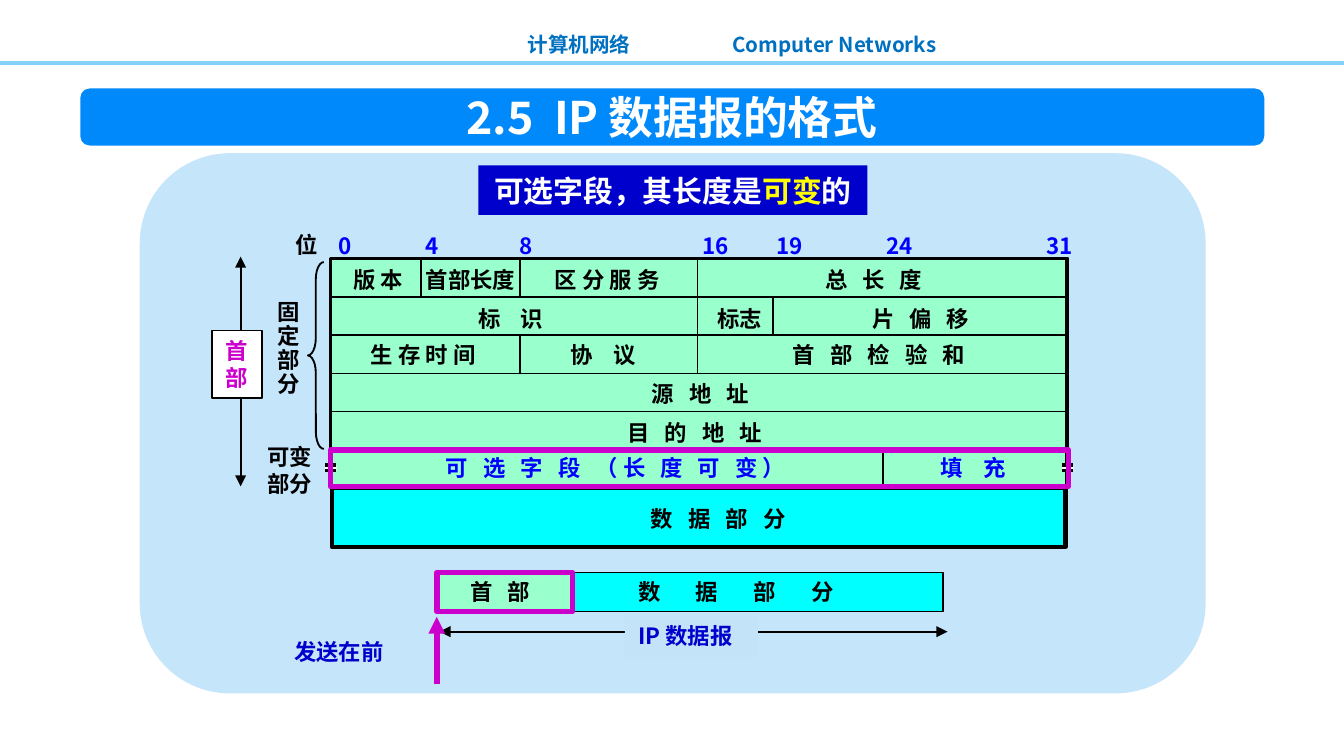
from lxml.etree import SubElement
from pptx import Presentation
from pptx.dml.color import RGBColor
from pptx.enum.shapes import MSO_CONNECTOR, MSO_SHAPE
from pptx.enum.text import MSO_ANCHOR, MSO_AUTO_SIZE, PP_ALIGN
from pptx.oxml.ns import qn
from pptx.util import Pt

FONT = "Noto Sans CJK SC"
COLORS = {
    "black": "000000", "white": "FFFFFF", "yellow": "FFFF00",
    "blue": "0000FF", "navy": "0000CC", "magenta": "CC00CC",
    "header": "0070C0", "rule": "85D1F7", "banner": "0089FA",
    "panel": "C5E5FB", "label": "C3E3F9", "mint": "99FFCC", "cyan": "00FFFF",
}
SPACE = 2.7  # width of one blank at 12 pt

# Header grid
LEFT, RIGHT = 177.1, 572.1
ROW_LINES = [159.2, 179.7, 200.1, 220.5, 241]
DIVIDERS = [(225.4, 139, 159.2), (278.6, 139, 159.2), (278.6, 179.7, 200.1),
            (373.7, 139, 200.1), (473, 241, 261.4), (414, 159.2, 179.7)]
BITS = [("0", 174.2), ("4", 221), ("8", 271.4), ("16", 369.4),
        ("19", 409), ("24", 468), ("31", 553.7)]

# Text, left, top, width, blanks between the characters, colour
FIELDS = [
    ("版 本", 182.2, 139, 42.5, 1, "black"),
    ("首部长度", 221, 139, 62.6, 1, "black"),
    ("区 分 服 务", 290.2, 139, 74.2, 1, "black"),
    ("总 长 度", 434.9, 139, 72.7, 3, "black"),
    ("标 识", 249.1, 159.8, 53.3, 4, "black"),
    ("标志", 377.3, 159.8, 38.9, 1, "black"),
    ("片 偏 移", 460.1, 159.8, 72.7, 3, "black"),
    ("生 存 时 间", 191.5, 179.3, 74.2, 1, "black"),
    ("协 议", 298.8, 179.3, 53.3, 4, "black"),
    ("首 部 检 验 和", 417.6, 179.3, 118.8, 3, "black"),
    ("源 地 址", 342, 200.2, 72.7, 3, "black"),
    ("目 的 地 址", 329, 221, 95.8, 3, "black"),
    ("可 选 字 段 （长 度 可 变）", 231.8, 239.8, 208.8, 3, "blue"),
    ("填 充", 496.8, 239.8, 53.3, 4, "blue"),
    ("位", 151.2, 120.2, 26.6, 1, "black"),
]


def rgb(name):
    return RGBColor.from_string(COLORS[name])


def add_box(page, left, top, width, height, fill=None, line=None, weight=1,
            kind=MSO_SHAPE.RECTANGLE):
    box = page.shapes.add_shape(kind, Pt(left), Pt(top), Pt(width), Pt(height))
    box.shadow.inherit = False
    if fill:
        box.fill.solid()
        box.fill.fore_color.rgb = rgb(fill)
    else:
        box.fill.background()
    if line:
        box.line.color.rgb = rgb(line)
        box.line.width = Pt(weight)
    else:
        box.line.fill.background()
    return box


def add_line(page, x1, y1, x2, y2, color="black", weight=1, ends=()):
    line = page.shapes.add_connector(MSO_CONNECTOR.STRAIGHT,
                                     Pt(x1), Pt(y1), Pt(x2), Pt(y2))
    line.line.color.rgb = rgb(color)
    line.line.width = Pt(weight)
    outline = line.line._get_or_add_ln()
    for end in ends:
        SubElement(outline, qn("a:" + end), type="triangle")
    SubElement(line._element.spPr, qn("a:effectLst"))


def format_span(span, size, color, spacing=0):
    span.font.size = Pt(size)
    span.font.bold = True
    span.font.name = FONT
    span.font.color.rgb = rgb(color)
    properties = span.font._element
    SubElement(properties, qn("a:ea"), typeface=FONT)
    if spacing:
        properties.set("spc", str(round(spacing * 100)))


def write(box, lines, size=12, color="black", align=PP_ALIGN.LEFT, blanks=1,
          wrap=False, leading=None, anchor=MSO_ANCHOR.TOP):
    """Each line is a string or a list of (text, colour, spacing) spans."""
    frame = box.text_frame
    frame.word_wrap = wrap
    frame.auto_size = MSO_AUTO_SIZE.SHAPE_TO_FIT_TEXT
    frame.vertical_anchor = anchor
    spread = (blanks - 1) * SPACE / 2  # shared by a character and its blank
    for index, line in enumerate(lines):
        para = frame.add_paragraph() if index else frame.paragraphs[0]
        para.alignment = align
        if leading:
            para.line_spacing = leading
        spans = [(line, color, spread)] if isinstance(line, str) else line
        for text, tint, spacing in spans:
            span = para.add_run()
            span.text = text
            format_span(span, size, tint, spacing)


def add_text(page, lines, left, top, width, height=21.6, **style):
    box = page.shapes.add_textbox(Pt(left), Pt(top), Pt(width), Pt(height))
    write(box, lines, **style)


def add_heading(page):
    add_text(page, ["计算机网络"], 266.4, 13.7, 78.5, 20.9, size=11,
             color="header", align=PP_ALIGN.RIGHT, wrap=True)
    add_line(page, 0, 33.8, 720, 33.8, "rule", 2)
    add_text(page, ["Computer Networks"], 381.6, 13.7, 127.4, 20.9, size=11,
             color="header", align=PP_ALIGN.RIGHT)
    add_box(page, 43, 47.4, 634.3, 30.6, "banner",
            kind=MSO_SHAPE.ROUNDED_RECTANGLE)
    title = [("2.5", "white", 0), (" ", "white", 2 * SPACE),
             ("IP 数据报的格式", "white", 0)]
    add_text(page, [title], 239, 44.6, 242, 36, size=24,
             align=PP_ALIGN.CENTER)
    add_box(page, 74.9, 82.1, 571, 289.4, "panel",
            kind=MSO_SHAPE.ROUNDED_RECTANGLE)
    note = add_box(page, 256.3, 88.6, 208.4, 26.6, "navy")
    write(note, [[("可选字段，其长度是", "white", 0), ("可变", "yellow", 0),
                  ("的", "white", 0)]],
          size=16, align=PP_ALIGN.CENTER, anchor=MSO_ANCHOR.MIDDLE)


def add_grid(page):
    add_box(page, LEFT, 138.5, 394.6, 122.4, "mint", "black", 2)
    add_box(page, 177.8, 261.4, 393.1, 31.7, "cyan", "black", 2.25)
    for y in ROW_LINES:
        add_line(page, LEFT, y, RIGHT, y)
    for x, top, bottom in DIVIDERS:
        add_line(page, x, top, x, bottom)
    for bit, left in BITS:
        add_text(page, [bit], left, 121, 14.4 + 7.6 * len(bit), color="blue")
    for text, left, top, width, blanks, color in FIELDS:
        add_text(page, [text], left, top, width, color=color, blanks=blanks)
    add_text(page, ["数 据 部 分"], 311.8, 267.1, 146.2, blanks=3,
             align=PP_ALIGN.CENTER, wrap=True)
    # Break marks on both edges of the optional row
    for left in (174.2, 568.8):
        add_box(page, left, 249.3, 6.2, 2.8, "white")
        for y in (249.3, 252.1):
            add_line(page, left, y, left + 6, y, weight=2)


def add_side_labels(page):
    add_text(page, list("固定部分"), 141.8, 157.7, 26.6, 59.8, leading=0.9)
    add_text(page, ["可变", "部分"], 136.1, 234, 38.9, 36)
    brace = add_box(page, 164.9, 140.4, 8.6, 100.1, line="black",
                    kind=MSO_SHAPE.LEFT_BRACE)
    brace.adjustments[0] = 1.08
    add_line(page, 128.9, 137.5, 128.9, 260.6, ends=("headEnd", "tailEnd"))
    header = add_box(page, 113.8, 177.1, 26.6, 36, "white", "black")
    write(header, ["首", "部"], color="magenta", anchor=MSO_ANCHOR.MIDDLE)
    add_box(page, LEFT, 241.2, 395.3, 19.4, line="magenta", weight=3)


def add_datagram(page):
    add_line(page, 235.4, 338.4, 507.6, 338.4, ends=("headEnd", "tailEnd"))
    add_box(page, 234, 306.7, 72, 20.9, "mint", "black")
    add_box(page, 306, 306.7, 199.4, 20.9, "cyan", "black")
    add_text(page, ["数 据 部 分"], 334.8, 306, 155.5, blanks=7, wrap=True)
    add_text(page, ["首 部"], 244.8, 306, 49.7, blanks=3)
    name = add_box(page, 334.8, 329, 71.3, 23, "label")
    write(name, ["IP 数据报"], color="navy", anchor=MSO_ANCHOR.MIDDLE)
    add_line(page, 234, 366.5, 234, 330.5, "magenta", 3, ends=("tailEnd",))
    add_text(page, ["发送在前"], 150.5, 338.4, 67, 23, color="navy")
    add_box(page, 234, 306.7, 72.7, 20.9, line="magenta", weight=3)


def main():
    deck = Presentation()
    deck.slide_width, deck.slide_height = Pt(720), Pt(405)
    page = deck.slides.add_slide(deck.slide_layouts[6])
    add_heading(page)
    add_grid(page)
    add_side_labels(page)
    add_datagram(page)
    deck.save("out.pptx")


if __name__ == "__main__":
    main()
